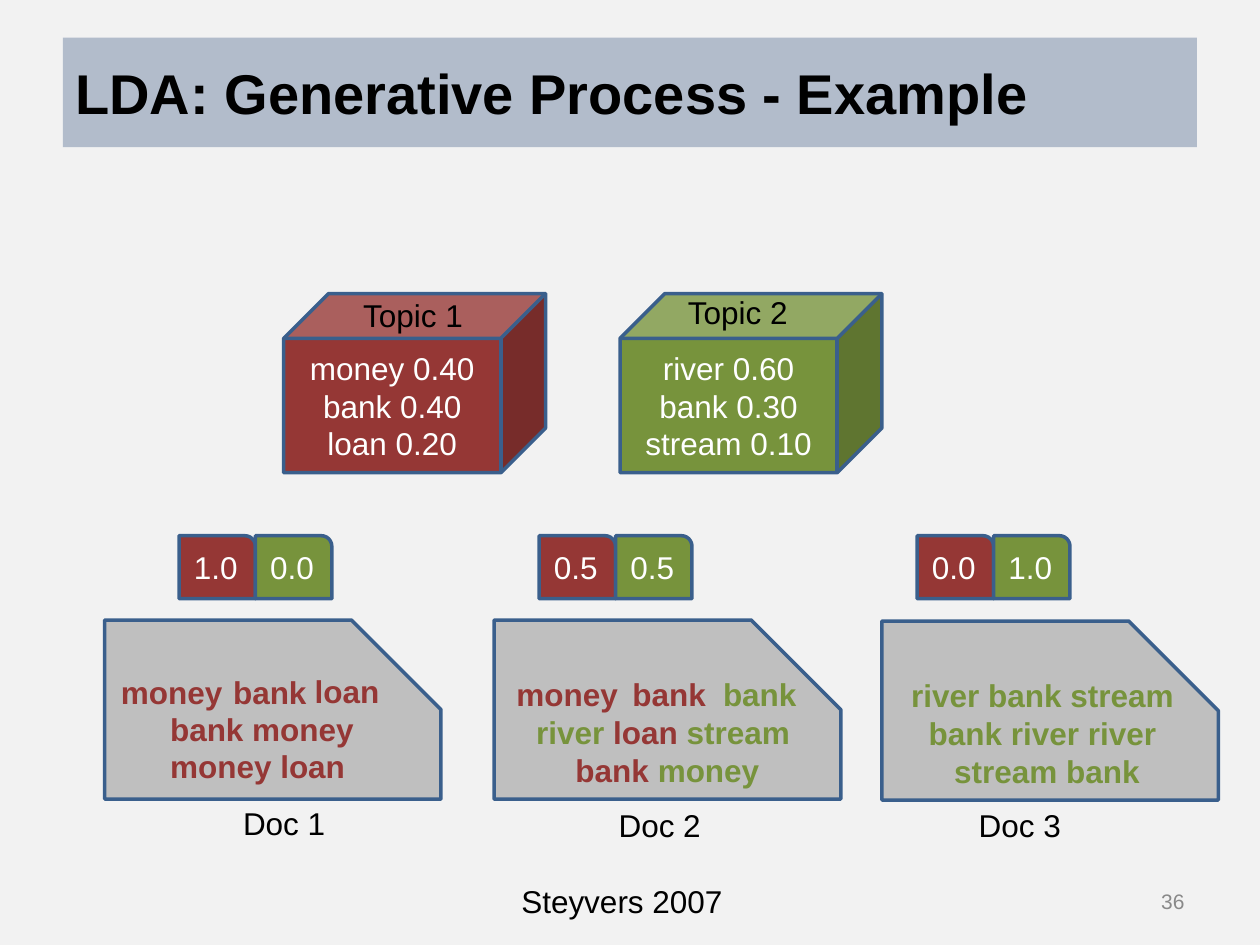
import pptx
import pptx.util
import pptx.dml.color
import pptx.enum.shapes
import pptx.enum.text

Cm = pptx.util.Cm
KIND = pptx.enum.shapes.MSO_SHAPE
ALIGN = pptx.enum.text.PP_ALIGN
ANCHOR = pptx.enum.text.MSO_ANCHOR
FIT = pptx.enum.text.MSO_AUTO_SIZE

RED, GREEN, GREY = "953735", "77933C", "BFBFBF"
EDGE, BLACK, WHITE = "3A5F8C", "000000", "FFFFFF"
BODY = {"name": "Arial", "size": pptx.util.Pt(18), "bold": False}
BOLD = {**BODY, "bold": True}
HEAD = {**BOLD, "size": pptx.util.Pt(32)}
SMALL = {**BODY, "size": pptx.util.Pt(12)}


def tint(part, code):
    part.rgb = pptx.dml.color.RGBColor.from_string(code)


def assign(item, form):
    for key, value in form.items():
        setattr(item, key, value)


def write(frame, lines, form, align):
    """Each line is a list of (text, colour) runs."""
    for i, line in enumerate(lines):
        para = frame.paragraphs[0] if i == 0 else frame.add_paragraph()
        para.alignment = align
        for text, code in line:
            run = para.add_run()
            run.text = text
            assign(run.font, form)
            tint(run.font.color, code)


def block(slide, kind, box, fill, edge=EDGE):
    shape = slide.shapes.add_shape(kind, *map(Cm, box))
    shape.shadow.inherit = False
    shape.fill.solid()
    tint(shape.fill.fore_color, fill)
    if edge:
        tint(shape.line.color, edge)
        shape.line.width = pptx.util.Pt(2)
    else:
        shape.line.fill.background()
    assign(shape.text_frame, {"word_wrap": True, "vertical_anchor": ANCHOR.MIDDLE})
    return shape


def label(slide, box, lines, form=BODY, align=ALIGN.LEFT):
    frame = slide.shapes.add_textbox(*map(Cm, box)).text_frame
    assign(frame, {"word_wrap": False, "auto_size": FIT.SHAPE_TO_FIT_TEXT})
    write(frame, lines, form, align)
    return frame


def title(slide, box, text):
    bar = block(slide, KIND.RECTANGLE, box, "B2BCCB", None)
    write(bar.text_frame, [[(text, BLACK)]], HEAD, ALIGN.LEFT)


def topic(slide, box, name, words, fill, shift):
    # Cube with its word odds, and the name on the top face
    left, top = box[:2]
    cube = block(slide, KIND.CUBE, box, fill)
    write(cube.text_frame, [[(words, WHITE)]], BODY, ALIGN.CENTER)
    dx, dy = shift
    label(slide, (left + dx, top + dy, 2.54, 1.02), [[(name, BLACK)]])


def weights(slide, box, pair):
    # Share of each topic, side by side
    left, top, wide, high = box
    for i, (text, fill) in enumerate(zip(pair, (RED, GREEN))):
        tile = block(slide, KIND.ROUND_1_RECTANGLE,
                     (left + i * wide, top, wide, high), fill)
        write(tile.text_frame, [[(text, WHITE)]], BODY, ALIGN.CENTER)


def paper(slide, box, name, shift, pair, inset, words):
    # Page outline, caption below, topic shares above, words within
    left, top = box[:2]
    page = block(slide, KIND.SNIP_1_RECTANGLE, box, GREY)
    page.adjustments[0] = 0.5
    dx, dy = shift
    label(slide, (left + dx, top + dy, 2.18, 1.02), [[(name, BLACK)]])
    weights(slide, (left + inset, 10.8, 1.54, 1.27), pair)
    for (dx, dy, wide, high), align, lines in words:
        label(slide, (left + dx, top + dy, wide, high), lines, BOLD, align)


def footer(slide, box, source, number):
    left, top, wide, high = box
    label(slide, (left, top, 4.98, high), [[(source, BLACK)]])
    frame = label(slide, (left + wide - 5.92, top, 5.92, high),
                  [[(number, "898989")]], SMALL, ALIGN.RIGHT)
    assign(frame, {"word_wrap": True, "auto_size": FIT.NONE,
                   "vertical_anchor": ANCHOR.MIDDLE})


def main():
    deck = pptx.Presentation()
    assign(deck, {"slide_width": Cm(25.4), "slide_height": Cm(19.05)})
    slide = deck.slides.add_slide(deck.slide_layouts[6])
    slide.background.fill.solid()
    tint(slide.background.fill.fore_color, "F2F2F2")

    title(slide, (1.27, 0.76, 22.86, 2.21), "LDA: Generative Process - Example")

    topic(slide, (5.72, 5.92, 5.28, 3.61), "Topic 1",
          "money 0.40 bank 0.40 loan 0.20", RED, (1.35, -0.08))
    topic(slide, (12.5, 5.92, 5.28, 3.61), "Topic 2",
          "river 0.60 bank 0.30 stream 0.10", GREEN, (1.12, -0.13))

    near, mid = ALIGN.LEFT, ALIGN.CENTER
    paper(slide, (2.11, 12.5, 6.78, 3.61), "Doc 1", (2.54, 3.58),
          ("1.0", "0.0"), 1.5, [
              ((0.08, 0.94, 2.59, 1.02), near, [[("money", RED)]]),
              ((2.34, 0.94, 2.01, 1.02), near, [[("bank", RED)]]),
              ((3.81, 0.92, 2.18, 1.02), near, [[(" loan", RED)]]),
              ((1.07, 1.68, 4.42, 1.8), near,
               [[("bank money", RED)], [("money loan", RED)]])])
    paper(slide, (9.96, 12.5, 6.99, 3.61), "Doc 2", (2.26, 3.63),
          ("0.5", "0.5"), 0.91, [
              ((0.2, 0.99, 2.59, 1.02), near, [[("money", RED)]]),
              ((2.54, 0.99, 2.01, 1.02), near, [[("bank", RED)]]),
              ((4.19, 0.98, 2.36, 1.02), near, [[(" ", RED), ("bank", GREEN)]]),
              ((0.56, 1.75, 5.87, 1.8), mid,
               [[("river ", GREEN), ("loan ", RED), ("stream ", GREEN)],
                [("bank ", RED), ("money", GREEN)]])])
    paper(slide, (17.78, 12.52, 6.78, 3.61), "Doc 3", (1.7, 3.61),
          ("0.0", "1.0"), 0.71, [
              ((0.3, 0.99, 6.05, 2.57), mid,
               [[("river bank stream ", GREEN)], [("bank river river ", GREEN)],
                [("stream bank", GREEN)]])])

    footer(slide, (10.26, 17.65, 13.87, 1.02), "Steyvers 2007", "36")
    deck.save("out.pptx")


if __name__ == "__main__":
    main()
